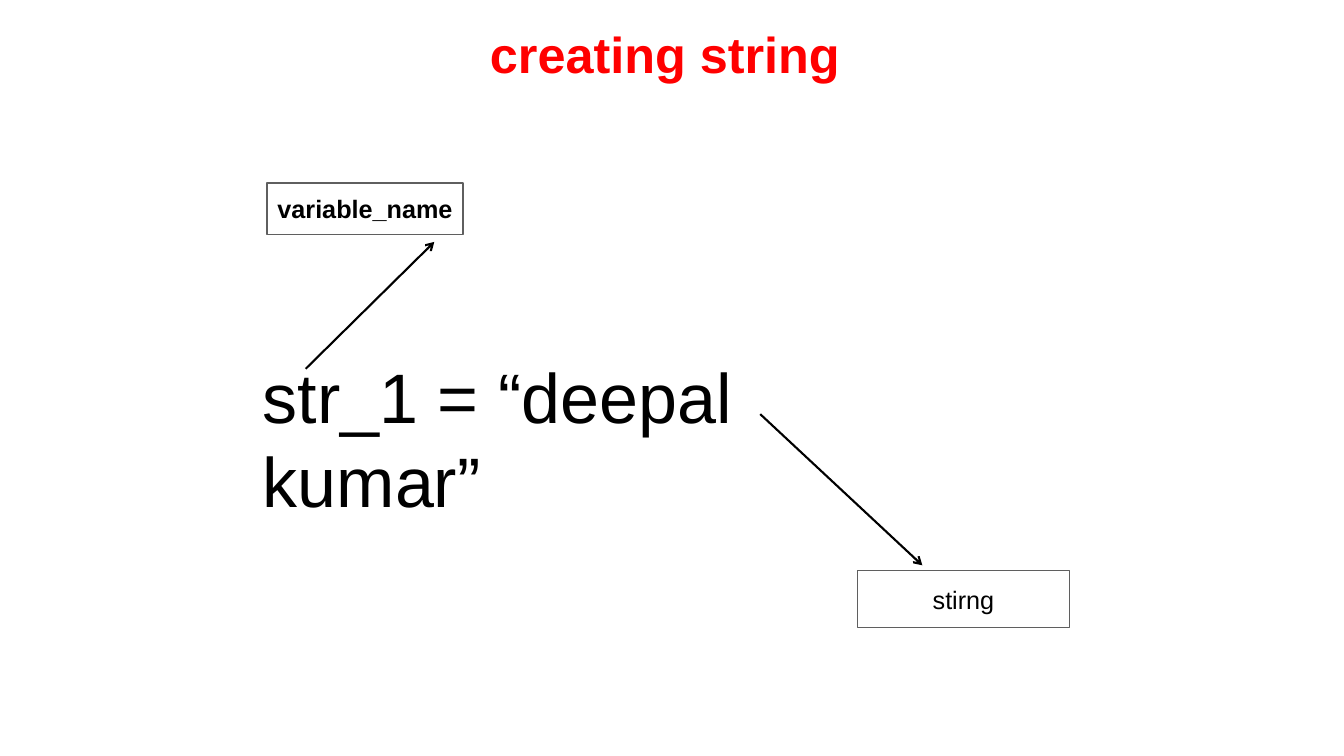
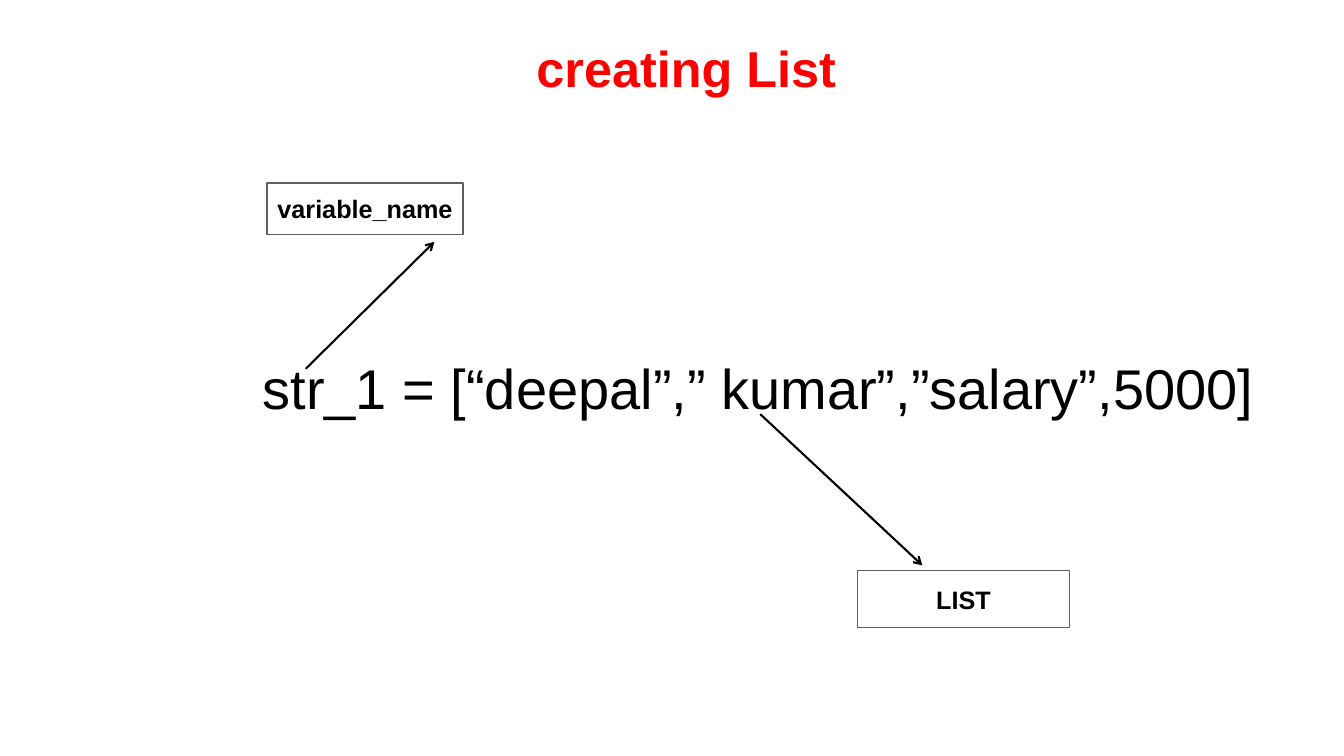
from dataclasses import dataclass

from lxml import etree
from pptx import Presentation
from pptx import util as u
from pptx.dml.color import RGBColor
from pptx.enum import shapes, text
from pptx.oxml.ns import qn


@dataclass(frozen=True)
class Theme:
    face: str = "Arial"
    paper: str = "FFFFFF"
    ink: str = "000000"
    title: str = "FF0000"
    edge: str = "5F5F5F"
    head: int = 36
    label: int = 18
    thin: float = 1
    thick: float = 1.5
    cols: int = 160
    rows: int = 90


class Deck:
    """Draws slides on a grid of theme.cols by theme.rows cells."""

    def __init__(self, theme):
        self.theme = theme
        self.prs = Presentation()
        self.prs.slide_width = u.Inches(13.33)
        self.prs.slide_height = u.Inches(7.5)
        self.slide = None

    def grid(self, *cells):
        steps = (self.prs.slide_width / self.theme.cols,
                 self.prs.slide_height / self.theme.rows)
        return [round(cell * steps[i % 2]) for i, cell in enumerate(cells)]

    def start(self):
        self.slide = self.prs.slides.add_slide(self.prs.slide_layouts[6])

    def fill_text(self, shape, words, size, color, bold=False, wrap=True,
                  align=text.PP_ALIGN.CENTER, anchor=text.MSO_ANCHOR.MIDDLE):
        frame = shape.text_frame
        frame.word_wrap = wrap
        frame.vertical_anchor = anchor
        para = frame.paragraphs[0]
        para.text = words
        para.alignment = align
        font = para.font
        font.name, font.size, font.bold = self.theme.face, u.Pt(size), bold
        font.color.rgb = RGBColor.from_string(color)

    def title(self, words, left, top):
        box = self.slide.shapes.add_textbox(*self.grid(left, top, 144, 7.7))
        self.fill_text(box, words, self.theme.head, self.theme.title, bold=True)

    def code(self, words, size, width, height):
        box = self.slide.shapes.add_textbox(
            *self.grid(30.1, 41.5, width, height))
        self.fill_text(box, words, size, self.theme.ink,
                       align=text.PP_ALIGN.LEFT, anchor=text.MSO_ANCHOR.TOP)
        box.text_frame.auto_size = text.MSO_AUTO_SIZE.SHAPE_TO_FIT_TEXT

    def label(self, words, cells, bold=True):
        box = self.slide.shapes.add_shape(
            shapes.MSO_SHAPE.RECTANGLE, *self.grid(*cells))
        box.shadow.inherit = False
        box.fill.solid()
        box.fill.fore_color.rgb = RGBColor.from_string(self.theme.paper)
        box.line.color.rgb = RGBColor.from_string(self.theme.edge)
        box.line.width = u.Pt(self.theme.thin)
        self.fill_text(box, words, self.theme.label, self.theme.ink, bold, wrap=False)

    def arrow(self, *ends):
        link = self.slide.shapes.add_connector(
            shapes.MSO_CONNECTOR.STRAIGHT, *self.grid(*ends))
        link.line.color.rgb = RGBColor.from_string(self.theme.ink)
        link.line.width = u.Pt(self.theme.thick)
        props = link._element.spPr
        etree.SubElement(props.find(qn("a:ln")), qn("a:tailEnd"), type="arrow")
        etree.SubElement(props, qn("a:effectLst"))

    def example(self, title, code, kind, bold):
        self.start()
        self.title(*title)
        self.code(*code)
        self.label("variable_name", (31.8, 21.8, 23.3, 6.1))
        self.label(kind, (102.1, 67.9, 25.2, 6.8), bold)
        self.arrow(36.4, 43.9, 51.7, 28.8)
        self.arrow(90.5, 49.3, 109.8, 67.3)


def main():
    deck = Deck(Theme())
    deck.example(("creating string ", 8, 2.5),
                 ("str_1 = “deepal kumar”", 50, 85.2, 11.3),
                 "stirng", False)
    deck.example(("creating List", 9.7, 4.2),
                 ("str_1 = [“deepal”,” kumar”,”salary”,5000]", 40, 121.2, 9.2),
                 "LIST", True)
    deck.prs.save("out.pptx")


if __name__ == "__main__":
    main()
